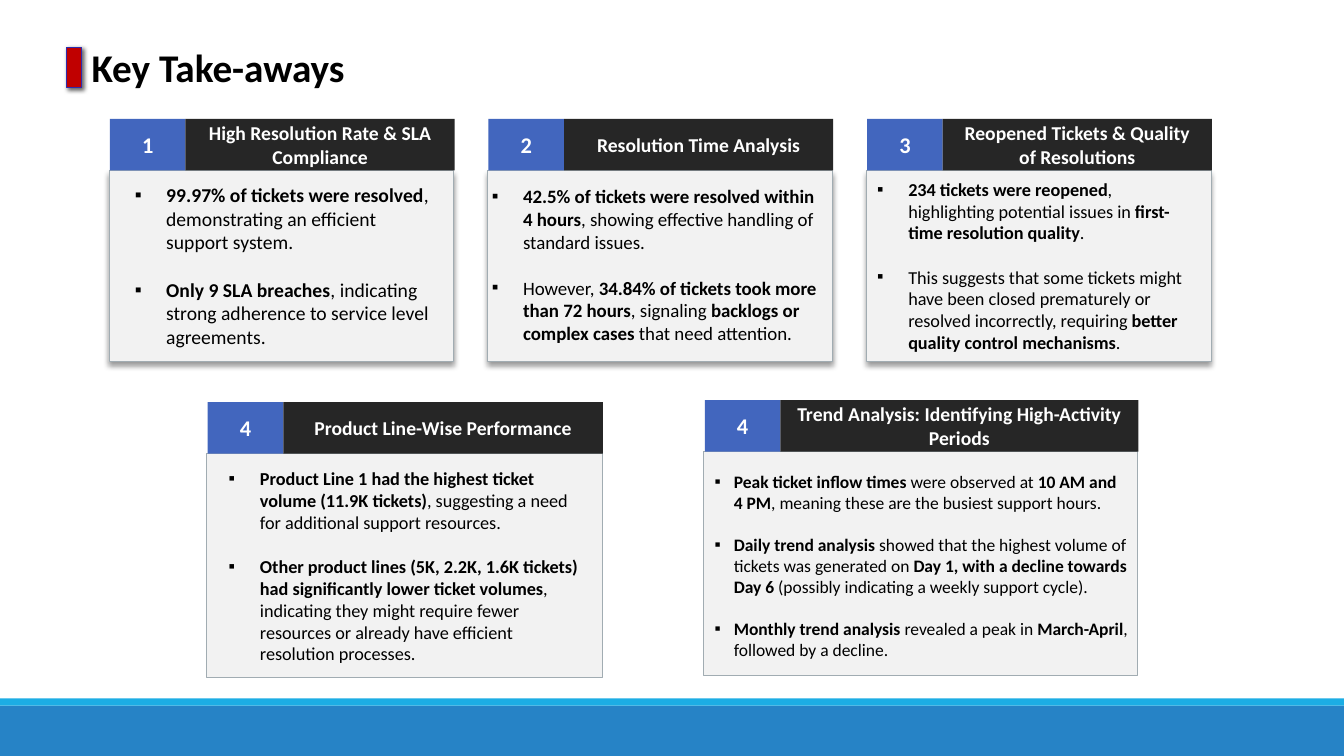
from lxml import etree
from pptx import Presentation
from pptx import util as u
from pptx.dml.color import RGBColor
from pptx.enum import shapes, text
from pptx.oxml.ns import qn

WHITE = RGBColor(0xFF, 0xFF, 0xFF)
BLACK = RGBColor(0x00, 0x00, 0x00)
CHARCOAL = RGBColor(0x26, 0x26, 0x26)
PANEL = RGBColor(0xF2, 0xF2, 0xF2)
PANEL_EDGE = RGBColor(0xA1, 0xAC, 0xB2)
BADGE_BLUE = RGBColor(0x42, 0x66, 0xBE)
RED = RGBColor(0xC0, 0x00, 0x00)
INDIGO = RGBColor(0x2E, 0x2A, 0xAD)
FOOTER_BLUE = RGBColor(0x26, 0x83, 0xC6)
FOOTER_CYAN = RGBColor(0x1C, 0xAD, 0xE4)

# opacity %, blur pt, distance pt, angle
MARKER_SHADOW = (60, 3, 2, 45)
CARD_SHADOW = (40, 4, 3, 90)

HEADER_HEIGHT = 0.51
BADGE_WIDTH = 0.75
LINE_HEIGHT = 1.22

# In the points, ** switches bold on and off.
# Text areas are (left, top, width, height).
TOP_CARDS = [
    ("1", "High Resolution Rate & SLA Compliance", (1.24, 1.76, 3.12, 1.75), 14, [
        "**99.97% of tickets were resolved**, demonstrating an efficient support system.",
        "**Only 9 SLA breaches**, indicating strong adherence to service level agreements.",
    ]),
    ("2", "Resolution Time Analysis", (4.78, 1.75, 3.49, 1.75), 13.5, [
        "**42.5% of tickets were resolved within 4 hours**, showing effective handling "
        "of standard issues.",
        "However, **34.84% of tickets took more than 72 hours**, signaling "
        "**backlogs or complex cases** that need attention.",
    ]),
    ("3", "Reopened Tickets & Quality of Resolutions", (8.6, 1.71, 3.31, 1.85), 13, [
        "**234 tickets were reopened**, highlighting potential issues in "
        "**first-time resolution quality**.",
        "This suggests that some tickets might have been closed prematurely or resolved "
        "incorrectly, requiring **better quality control mechanisms**.",
    ]),
]
PRODUCT_CARD = ("4", "Product Line-Wise Performance", (2.17, 4.58, 3.69, 2.07), 13, [
    "**Product Line 1 had the highest ticket volume (11.9K tickets)**, suggesting a need "
    "for additional support resources.",
    "**Other product lines (5K, 2.2K, 1.6K tickets) had significantly lower ticket "
    "volumes**, indicating they might require fewer resources or already have efficient "
    "resolution processes.",
])
TREND_CARD = ("4", "Trend Analysis: Identifying High-Activity Periods",
              (6.99, 4.51, 4.3, 2.2), 12.5, [
    "**Peak ticket inflow times** were observed at **10 AM and 4 PM**, meaning these are "
    "the busiest support hours.",
    "**Daily trend analysis** showed that the highest volume of tickets was generated on "
    "**Day 1, with a decline towards Day 6** (possibly indicating a weekly support cycle).",
    "**Monthly trend analysis** revealed a peak in **March-April**, followed by a decline.",
])


def write(para, words, size=14, color=BLACK, bold=False, font="Calibri", align=None):
    """Add words to a paragraph; ** toggles bold."""
    para.alignment = align
    for index, part in enumerate(words.split("**")):
        if part:
            span = para.add_run()
            span.text = part
            span.font.name = font
            span.font.size = u.Pt(size)
            span.font.bold = bold != (index % 2 == 1)
            span.font.color.rgb = color


def add_bullet(para, indent):
    props = para._p.get_or_add_pPr()
    props.set("marL", str(u.Inches(indent)))
    props.set("indent", str(-u.Inches(indent)))
    etree.SubElement(props, qn("a:buFont")).set("typeface", "Arial")
    etree.SubElement(props, qn("a:buChar")).set("char", "▪")


def add_shadow(box, opacity, blur, distance, angle):
    effects = box._element.spPr.find(qn("a:effectLst"))
    outer = etree.SubElement(effects, qn("a:outerShdw"), blurRad=str(u.Pt(blur)),
                             dist=str(u.Pt(distance)), dir=str(angle * 60000),
                             algn="ctr", rotWithShape="0")
    tint = etree.SubElement(outer, qn("a:srgbClr"), val="000000")
    etree.SubElement(tint, qn("a:alpha"), val=str(opacity * 1000))


class TakeawaySlide:
    def __init__(self, deck):
        self.page = deck.slides.add_slide(deck.slide_layouts[6])

    def rect(self, area, fill, edge=None, edge_width=0.5, shadow=None):
        box = self.page.shapes.add_shape(shapes.MSO_SHAPE.RECTANGLE, *map(u.Inches, area))
        box.fill.solid()
        box.fill.fore_color.rgb = fill
        if edge is None:
            box.line.fill.background()
        else:
            box.line.color.rgb = edge
            box.line.width = u.Pt(edge_width)
        box.shadow.inherit = False
        if shadow:
            add_shadow(box, *shadow)
        return box

    def label(self, area, fill, words, size, insets=(0.1, 0.05)):
        """Draw a filled rectangle with centred bold white text."""
        frame = self.rect(area, fill).text_frame
        frame.word_wrap = True
        frame.vertical_anchor = text.MSO_ANCHOR.MIDDLE
        frame.margin_left = frame.margin_right = u.Inches(insets[0])
        frame.margin_top = frame.margin_bottom = u.Inches(insets[1])
        write(frame.paragraphs[0], words, size=size, color=WHITE, bold=True,
              align=text.PP_ALIGN.CENTER)

    def textbox(self, area, anchor=text.MSO_ANCHOR.TOP):
        frame = self.page.shapes.add_textbox(*map(u.Inches, area)).text_frame
        frame.word_wrap = True
        frame.auto_size = text.MSO_AUTO_SIZE.SHAPE_TO_FIT_TEXT
        frame.vertical_anchor = anchor
        return frame

    def bullets(self, area, points, size, indent):
        frame = self.textbox(area, text.MSO_ANCHOR.MIDDLE)
        for index, point in enumerate(points):
            para = frame.add_paragraph() if index else frame.paragraphs[0]
            if index:
                para.space_before = u.Pt(round(size * LINE_HEIGHT, 1))
            write(para, point, size=size)
            add_bullet(para, indent)

    def card(self, left, top, width, body_height, content, indent=0.31, shadow=None):
        number, heading, text_area, size, points = content
        self.rect((left, top + HEADER_HEIGHT, width, body_height), PANEL, PANEL_EDGE,
                  shadow=shadow)
        badge_left = left + 0.01
        self.label((badge_left, top, BADGE_WIDTH, HEADER_HEIGHT), BADGE_BLUE, number, 16)
        self.label((badge_left + BADGE_WIDTH, top, width - BADGE_WIDTH, HEADER_HEIGHT),
                   CHARCOAL, heading, 14, insets=(0.13, 0.07))
        self.bullets(text_area, points, size, indent)


def main():
    deck = Presentation()
    deck.slide_width, deck.slide_height = u.Inches(13.33), u.Inches(7.5)
    slide = TakeawaySlide(deck)

    slide.rect((0, 7, 13.33, 0.5), FOOTER_BLUE)
    slide.rect((0, 6.93, 13.33, 0.07), FOOTER_CYAN)

    title = slide.textbox((0.81, 0.38, 8.02, 0.57))
    write(title.paragraphs[0], "Key Take-aways", size=28, bold=True)
    slide.rect((0.66, 0.47, 0.15, 0.4), RED, INDIGO, edge_width=1, shadow=MARKER_SHADOW)

    first_left, last_left = 1.08, 8.59
    pitch = (last_left - first_left) / (len(TOP_CARDS) - 1)
    for column, content in enumerate(TOP_CARDS):
        slide.card(first_left + column * pitch, 1.18, 3.42, 1.9, content,
                   shadow=CARD_SHADOW)
    slide.card(2.05, 3.99, 3.92, 2.22, PRODUCT_CARD)
    slide.card(6.98, 3.97, 4.3, 2.22, TREND_CARD, indent=0.19)

    deck.save("out.pptx")


if __name__ == "__main__":
    main()
